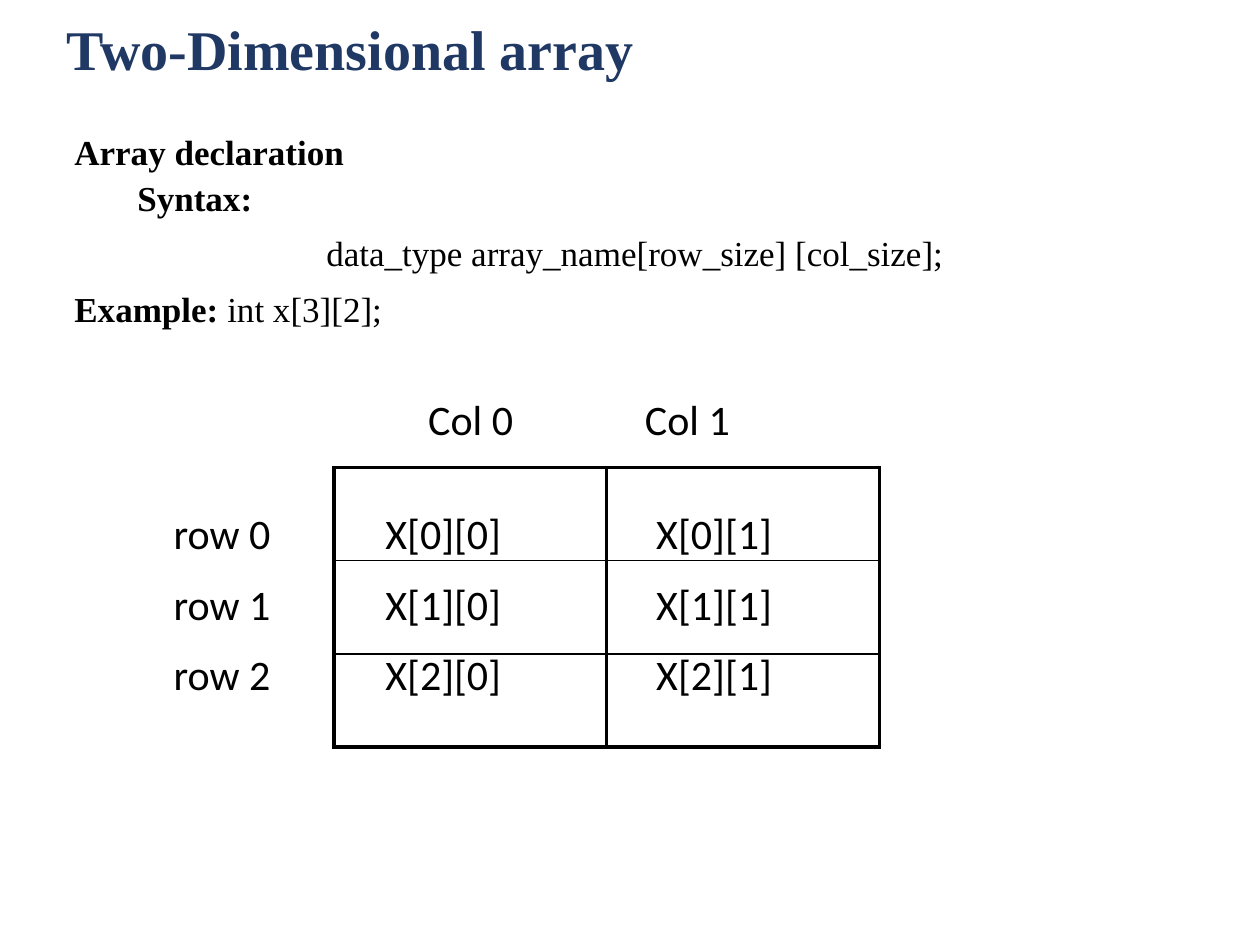
from lxml.etree import SubElement
from pptx import Presentation
from pptx.dml.color import RGBColor
from pptx.enum.text import MSO_ANCHOR as Anchor, MSO_AUTO_SIZE as AutoSize, PP_ALIGN as Align
from pptx.oxml.ns import qn
from pptx.util import Inches, Pt

SERIF, SANS = "Times New Roman", "Calibri"
BLACK, NAVY = "000000", "203864"


def color(value):
    return RGBColor.from_string(value)


def place(shape, box):
    shape.left, shape.top, shape.width, shape.height = map(Inches, box)


def add_span(para, text, font=SANS, size=24, bold=False, fill=BLACK):
    span = para.add_run()
    span.text = text
    span.font.name, span.font.size, span.font.bold = font, Pt(size), bold
    span.font.color.rgb = color(fill)


def next_para(frame, index):
    return frame.add_paragraph() if index else frame.paragraphs[0]


def add_title(page, box, text):
    title = page.shapes.title
    place(title, box)
    frame = title.text_frame
    frame.word_wrap, frame.auto_size = True, AutoSize.NONE
    frame.vertical_anchor = Anchor.MIDDLE
    para = frame.paragraphs[0]
    para.alignment, para.line_spacing = Align.LEFT, 0.9
    add_span(para, text, font=SERIF, size=32, bold=True, fill=NAVY)


def add_body(page, box, lines):
    """Each line is (indent in inches, space before, [(text, bold), ...])."""
    body = page.placeholders[1]
    place(body, box)
    frame = body.text_frame
    frame.word_wrap, frame.auto_size = True, AutoSize.NONE
    for index, (indent, space, spans) in enumerate(lines):
        para = next_para(frame, index)
        para.alignment, para.line_spacing = Align.JUSTIFY, 0.9
        para.space_before = Pt(space)
        props = para._p.get_or_add_pPr()
        props.set("marL", str(Inches(indent)))
        props.set("indent", "0")
        SubElement(props, qn("a:buNone"))
        for text, bold in spans:
            add_span(para, text, font=SERIF, size=20, bold=bold)


def add_label(page, box, lines, tab=None):
    label = page.shapes.add_textbox(*map(Inches, box))
    frame = label.text_frame
    frame.word_wrap, frame.auto_size = True, AutoSize.SHAPE_TO_FIT_TEXT
    for index, text in enumerate(lines):
        para = next_para(frame, index)
        para.space_before = Pt(11.5)
        if tab:
            stops = SubElement(para._p.get_or_add_pPr(), qn("a:tabLst"))
            SubElement(stops, qn("a:tab"), pos=str(Inches(tab)), algn="l")
        add_span(para, text)


def set_borders(cell, **widths):
    props = cell._tc.get_or_add_tcPr()
    for side in "LRTB":
        line = SubElement(props, qn(f"a:ln{side}"), w=str(Pt(widths[side])))
        fill = SubElement(line, qn("a:solidFill"))
        SubElement(fill, qn("a:srgbClr"), val=BLACK)


def add_grid(page, box, rows, cols):
    left, top, width, height = box
    table = page.shapes.add_table(rows, cols, *map(Inches, box)).table
    table.first_row = table.horz_banding = False
    for row in range(rows):
        table.rows[row].height = Inches(height / rows)
        for col in range(cols):
            cell = table.cell(row, col)
            # Thick outside and between columns, thin between rows
            set_borders(cell, L=2.25, R=2.25, T=1 if row else 2.25,
                        B=2.25 if row == rows - 1 else 1)
            cell.fill.background()


def add_array(page, box, rows=3, cols=2):
    left, top, width, height = box
    add_grid(page, box, rows, cols)
    # Column and row headings
    add_label(page, (left + 0.65, top - 0.64, 3.33, 0.51),
              ["\t".join(f"Col {col}" for col in range(cols))], tab=1.72)
    text_top = top + 0.27
    add_label(page, (left - 1.37, text_top, 1.5, 1.72),
              [f"row {row}" for row in range(rows)])
    # Element names, one text box per column
    for col in range(cols):
        add_label(page, (left + 0.31 + 2.15 * col, text_top, 1.42, 1.72),
                  [f"X[{row}][{col}]" for row in range(rows)])


deck = Presentation()
deck.slide_width, deck.slide_height = Inches(10), Inches(7.5)
page = deck.slides.add_slide(deck.slide_layouts[1])
add_title(page, (0.43, 0.03, 9, 0.77), "Two-Dimensional array")
add_body(page, (0.49, 1.02, 9.59, 5.59), [
    (0, 10, [("Array declaration", True)]),
    (0.5, 5, [("Syntax:", True)]),
    (2, 10, [("data_type array_name[row_size] [col_size];", False)]),
    (0, 10, [("Example: ", True), ("int x[3][2];", False)]),
])
add_array(page, (2.65, 3.71, 4.33, 2.22))
deck.save("out.pptx")
